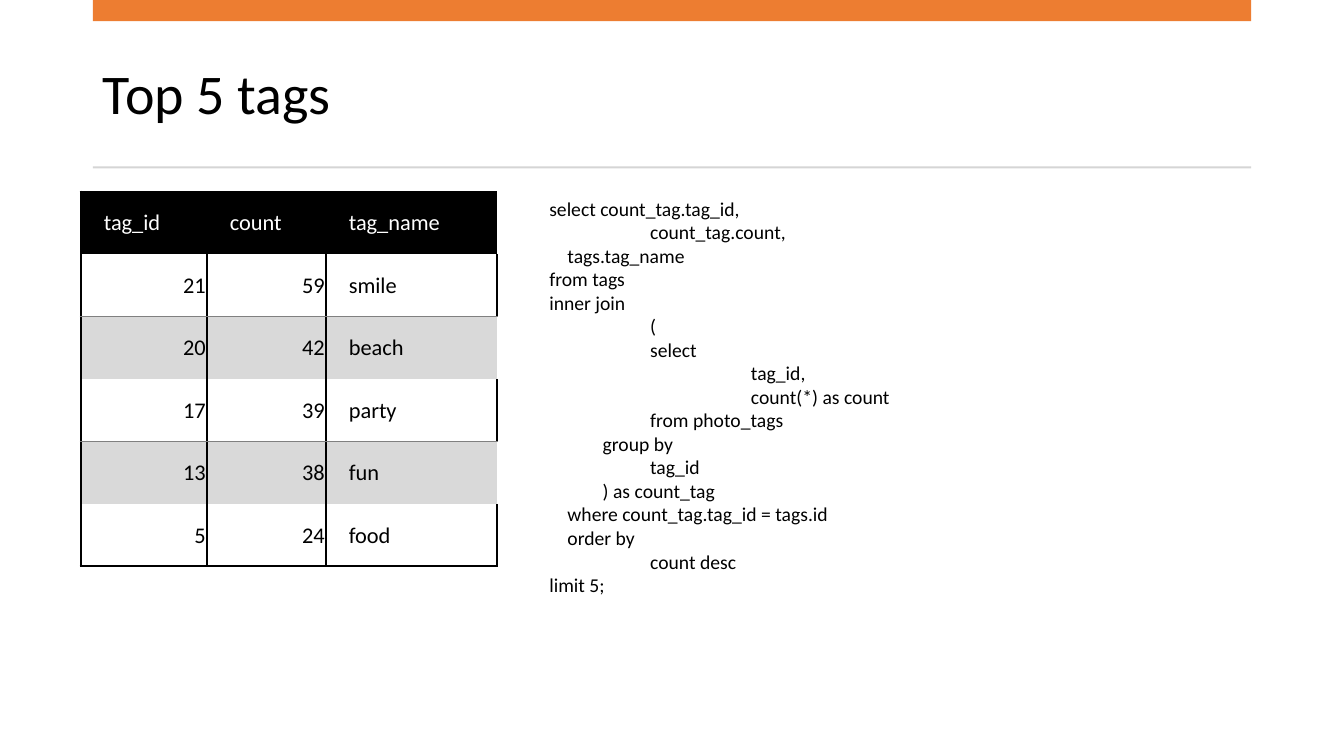
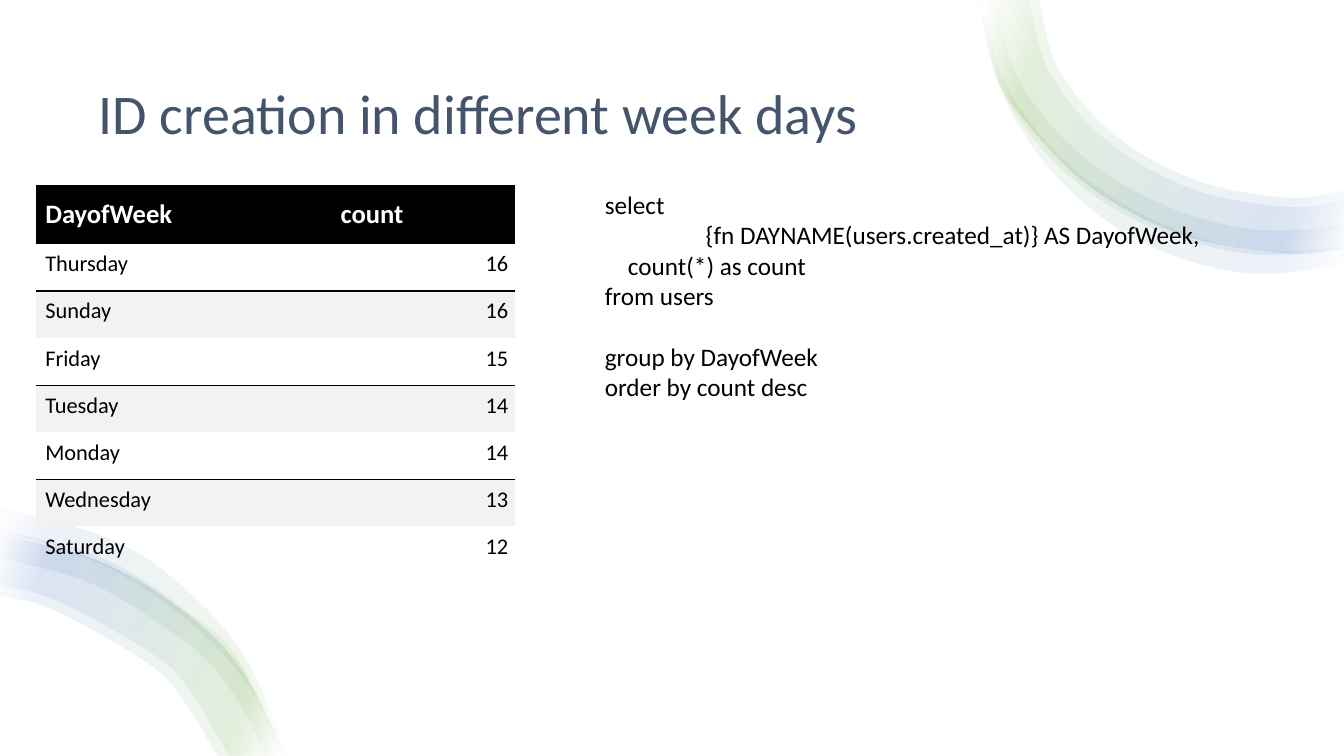
from dataclasses import dataclass
from typing import Callable

from lxml.etree import Element, SubElement
from pptx import Presentation
from pptx.dml.color import RGBColor
from pptx.enum.shapes import MSO_SHAPE as Shape
from pptx.enum.text import MSO_ANCHOR as Anchor, PP_ALIGN as Align
from pptx.oxml.ns import qn
from pptx.util import Inches, Pt

BLACK = RGBColor(0x00, 0x00, 0x00)
WHITE = RGBColor(0xFF, 0xFF, 0xFF)
ORANGE = RGBColor(0xED, 0x7D, 0x31)
RULE_GRAY = RGBColor(0xD5, 0xD5, 0xD5)
LINE_GRAY = RGBColor(0x80, 0x80, 0x80)
BAND_GRAY = RGBColor(0xD9, 0xD9, 0xD9)
PALE_GRAY = RGBColor(0xF2, 0xF2, 0xF2)
SLATE = RGBColor(0x44, 0x54, 0x6A)
GREEN = RGBColor(0x70, 0xAD, 0x47)
BLUE = RGBColor(0x44, 0x72, 0xC4)

WIDTH, HEIGHT = 13.33, 7.5
FONT = "Calibri"
NO_STYLE = "{2D5ABB26-0587-4C30-8999-92F81FD0307C}"
ARC_STOPS = [(2, WHITE), (16, GREEN), (85, BLUE), (100, WHITE)]
ARC_OPACITY = 10

# Each band is an outer and an inner edge, as points in inches.
TOP_OUTER = [(9.73, 0), (9.86, 0.65), (10.09, 1.1), (10.8, 1.84),
             (11.74, 2.33), (12.79, 2.51), (13.33, 2.45)]
TOP_BANDS = [
    (TOP_OUTER, [(10.31, 0), (10.5, 0.68), (11.06, 1.34), (11.87, 1.79),
                 (12.79, 1.96), (13.33, 1.88)]),
    (TOP_OUTER, [(10.21, 0), (10.42, 0.73), (11, 1.41), (11.84, 1.88),
                 (12.79, 2.05), (13.33, 1.98)]),
    ([(9.73, 0), (9.94, 0.89), (10.54, 1.68), (11.39, 2.24),
      (12.39, 2.51), (13.33, 2.46)],
     [(9.89, 0), (10.12, 0.81), (10.71, 1.52), (11.5, 2.01),
      (12.42, 2.27), (13.33, 2.23)]),
    ([(9.71, 0), (9.91, 0.87), (10.46, 1.74), (11.31, 2.4),
      (12.36, 2.71), (13.33, 2.62)],
     [(9.74, 0), (9.97, 0.84), (10.59, 1.63), (11.43, 2.18),
      (12.39, 2.48), (13.33, 2.45)]),
]
BOTTOM_OUTER = [(2.82, 7.5), (2.35, 6.59), (1.73, 6), (0.96, 5.56), (0, 5.3)]
BOTTOM_BANDS = [
    ([(2.85, 7.5), (2.45, 6.57), (1.89, 5.9), (1.15, 5.38), (0, 5.04)],
     [(2.79, 7.5), (2.5, 6.87), (1.95, 6.24), (1.19, 5.7), (0.5, 5.42),
      (0, 5.3)]),
    (BOTTOM_OUTER, [(2.15, 7.5), (1.78, 6.9), (1.43, 6.56), (0.53, 6.05),
                    (0, 5.91)]),
    ([(2.83, 7.5), (2.38, 6.58), (2, 6.18), (1.06, 5.56), (0, 5.26)],
     [(2.63, 7.5), (2.47, 7.15), (2.19, 6.72), (1.82, 6.36), (0.94, 5.81),
      (0, 5.54)]),
    (BOTTOM_OUTER, [(2.26, 7.5), (1.87, 6.84), (1.5, 6.48), (0.56, 5.96),
                    (0, 5.81)]),
]

TAG_ROWS = [("tag_id", "count", "tag_name"), ("21", "59", "smile"),
            ("20", "42", "beach"), ("17", "39", "party"),
            ("13", "38", "fun"), ("5", "24", "food")]
DAY_ROWS = [("DayofWeek", "count"), ("Thursday", "16"), ("Sunday", "16"),
            ("Friday", "15"), ("Tuesday", "14"), ("Monday", "14"),
            ("Wednesday", "13"), ("Saturday", "12")]

# Query lines: indent in inches, text.
TAG_QUERY = [
    (0, "select count_tag.tag_id,"), (1, "count_tag.count,"),
    (0.18, "tags.tag_name"), (0, "from tags"), (0, "inner join"), (1, "("),
    (1, "select"), (2, "tag_id,"), (2, "count(*) as count"),
    (1, "from photo_tags"), (0.53, "group by"), (1, "tag_id"),
    (0.53, ") as count_tag"), (0.18, "where count_tag.tag_id = tags.id"),
    (0.18, "order by"), (1, "count desc"), (0, "limit 5;"),
]
DAY_QUERY = [
    (0, "select"), (1, "{fn DAYNAME(users.created_at)} AS DayofWeek,"),
    (0.23, "count(*) as count"), (0, "from users"),
    (0, "group by DayofWeek"), (0, "order by count desc"),
]


@dataclass
class GridStyle:
    header_size: int
    header_bold: bool
    header_margins: tuple
    body_margins: tuple
    band: RGBColor
    number_columns: tuple
    borders: Callable


def tag_borders(row, column, last_row, last_column):
    black, gray = (BLACK, 1.5), (LINE_GRAY, 0.5)
    if row == 0:
        return {"L": black, "T": black} if column == 0 else {"T": black}
    sides = {"L": black, "R": black}
    if row % 2 == 0:
        sides["T"] = gray
        if column == last_column:
            del sides["R"]
    else:
        sides["B"] = black if row == last_row else gray
    return sides


def day_borders(row, column, last_row, last_column):
    if row in (0, last_row):
        return {}
    return {"B" if row % 2 else "T": (BLACK, 1)}


TAG_STYLE = GridStyle(16, False, (0.23, 0.17, 0.01, 0.17),
                      (0.23, 0.17, 0.01, 0.17), BAND_GRAY, (0, 1), tag_borders)
DAY_STYLE = GridStyle(19, True, (0.09, 0.13, 0.07, 0.13),
                      (0.09, 0.01, 0.07, 0.13), PALE_GRAY, (1,), day_borders)


def set_font(para, size, colour, bold=False):
    font = para.font
    font.name, font.size, font.bold = FONT, Pt(size), bold
    font.color.rgb = colour


def add_page(deck, title, box, colour):
    page = deck.slides.add_slide(deck.slide_layouts[5])
    page.background.fill.solid()
    page.background.fill.fore_color.rgb = WHITE
    holder = page.shapes.title
    holder.left, holder.top, holder.width, holder.height = map(Inches, box)
    frame = holder.text_frame
    frame.text = title
    frame.word_wrap = True
    frame.vertical_anchor = Anchor.MIDDLE
    para = frame.paragraphs[0]
    para.alignment, para.line_spacing = Align.LEFT, 0.9
    set_font(para, 40, colour)
    return page


def add_bar(page, box, colour):
    bar = page.shapes.add_shape(Shape.RECTANGLE, *map(Inches, box))
    bar.shadow.inherit = False
    bar.fill.solid()
    bar.fill.fore_color.rgb = colour
    bar.line.fill.background()
    return bar


def add_query(page, box, lines, size, gaps=()):
    """Place code lines; those whose text is in gaps follow an open line."""
    frame = page.shapes.add_textbox(*map(Inches, box)).text_frame
    frame.word_wrap = True
    for index, (indent, text) in enumerate(lines):
        para = frame.add_paragraph() if index else frame.paragraphs[0]
        para.text = text
        set_font(para, size, BLACK)
        if indent:
            para._p.get_or_add_pPr().set("marL", str(Inches(indent)))
        if text in gaps:
            para.space_before = Pt(size * 1.22)


def set_borders(cell, sides):
    properties = cell._tc.get_or_add_tcPr()
    for side in "LRTB":
        line = SubElement(properties, qn(f"a:ln{side}"))
        if side in sides:
            colour, width = sides[side]
            line.set("w", str(Pt(width)))
            fill = SubElement(line, qn("a:solidFill"))
            SubElement(fill, qn("a:srgbClr"), val=str(colour))
        else:
            SubElement(line, qn("a:noFill"))


def format_cell(cell, row, column, style):
    header = row == 0
    margins = style.header_margins if header else style.body_margins
    (cell.margin_left, cell.margin_top,
     cell.margin_right, cell.margin_bottom) = map(Inches, margins)
    cell.vertical_anchor = Anchor.MIDDLE if header else Anchor.BOTTOM
    para = cell.text_frame.paragraphs[0]
    if header:
        set_font(para, style.header_size, WHITE, style.header_bold)
    else:
        set_font(para, 16, BLACK)
        if column in style.number_columns:
            para.alignment = Align.RIGHT
    if row % 2:
        cell.fill.background()
    else:
        cell.fill.solid()
        cell.fill.fore_color.rgb = BLACK if header else style.band


def add_grid(page, left, top, widths, heights, rows, style):
    last_row, last_column = len(rows) - 1, len(widths) - 1
    table = page.shapes.add_table(
        len(rows), len(widths), Inches(left), Inches(top),
        Inches(sum(widths)), Inches(sum(heights))).table
    table._tbl.tblPr.find(qn("a:tableStyleId")).text = NO_STYLE
    for column, width in zip(table.columns, widths):
        column.width = Inches(width)
    for row, height in zip(table.rows, heights):
        row.height = Inches(height)
    for row, texts in enumerate(rows):
        for column, text in enumerate(texts):
            cell = table.cell(row, column)
            cell.text = text
            set_borders(cell, style.borders(row, column, last_row, last_column))
            format_cell(cell, row, column, style)


def bend_edges(arc, corner):
    """Turn the straight steps into curves, except the one ending at corner."""
    geometry = arc._element.spPr
    nodes = list(geometry.iter(qn("a:pt")))
    points = [(int(node.get("x")), int(node.get("y"))) for node in nodes]
    for first, last in ((0, corner), (corner, len(points))):
        for index in range(first + 1, last):
            before, start = points[max(index - 2, first)], points[index - 1]
            end, after = points[index], points[min(index + 1, last - 1)]
            controls = ([s + (e - b) / 6 for b, s, e in zip(before, start, end)],
                        [e - (a - s) / 6 for s, e, a in zip(start, end, after)])
            step = nodes[index].getparent()
            curve = Element(qn("a:cubicBezTo"))
            for x, y in (*controls, end):
                SubElement(curve, qn("a:pt"), x=str(round(x)), y=str(round(y)))
            step.getparent().replace(step, curve)


def add_arcs(page, bands, angle):
    for outer, inner in bands:
        start, *rest = [(Inches(x), Inches(y)) for x, y in outer + inner[::-1]]
        builder = page.shapes.build_freeform(*start)
        builder.add_line_segments(rest, close=True)
        arc = builder.convert_to_shape()
        bend_edges(arc, len(outer))
        arc.shadow.inherit = False
        arc.line.fill.background()
        arc.fill.gradient()
        arc.fill.gradient_angle = angle
        stops = arc._element.spPr.find(".//" + qn("a:gsLst"))
        for stop in list(stops):
            stops.remove(stop)
        for position, colour in ARC_STOPS:
            stop = SubElement(stops, qn("a:gs"), pos=str(position * 1000))
            tint = SubElement(stop, qn("a:srgbClr"), val=str(colour))
            SubElement(tint, qn("a:alpha"), val=str(ARC_OPACITY * 1000))


def build_tags_page(deck):
    left, width = 0.92, 11.49
    page = add_page(deck, "Top 5 tags", (left, 0.37, width, 1.18), BLACK)
    add_bar(page, (left, 0, width, 0.21), ORANGE)
    add_bar(page, (left, 1.65, width, 0.02), RULE_GRAY)
    add_grid(page, 0.8, 1.9, [1.25, 1.18, 1.7], [0.62] * len(TAG_ROWS),
             TAG_ROWS, TAG_STYLE)
    add_query(page, (5.35, 1.9, 6.83, 4.34), TAG_QUERY, 14)


def build_days_page(deck):
    page = add_page(deck, "ID creation in different week days",
                    (0.88, 0.5, 11.57, 1.3), SLATE)
    backdrop = add_bar(page, (0, 0, WIDTH, HEIGHT), WHITE)
    page.shapes.title._element.addprevious(backdrop._element)
    add_arcs(page, TOP_BANDS, 340)
    add_arcs(page, BOTTOM_BANDS, 160)
    header, total, days = 0.58, 3.85, len(DAY_ROWS) - 1
    add_grid(page, 0.36, 1.84, [2.93, 1.82],
             [header] + [(total - header) / days] * days, DAY_ROWS, DAY_STYLE)
    add_query(page, (5.9, 1.83, 6.35, 2.22), DAY_QUERY, 18,
              gaps=("group by DayofWeek",))


def main():
    deck = Presentation()
    deck.slide_width, deck.slide_height = Inches(WIDTH), Inches(HEIGHT)
    build_tags_page(deck)
    build_days_page(deck)
    deck.save("out.pptx")


if __name__ == "__main__":
    main()
